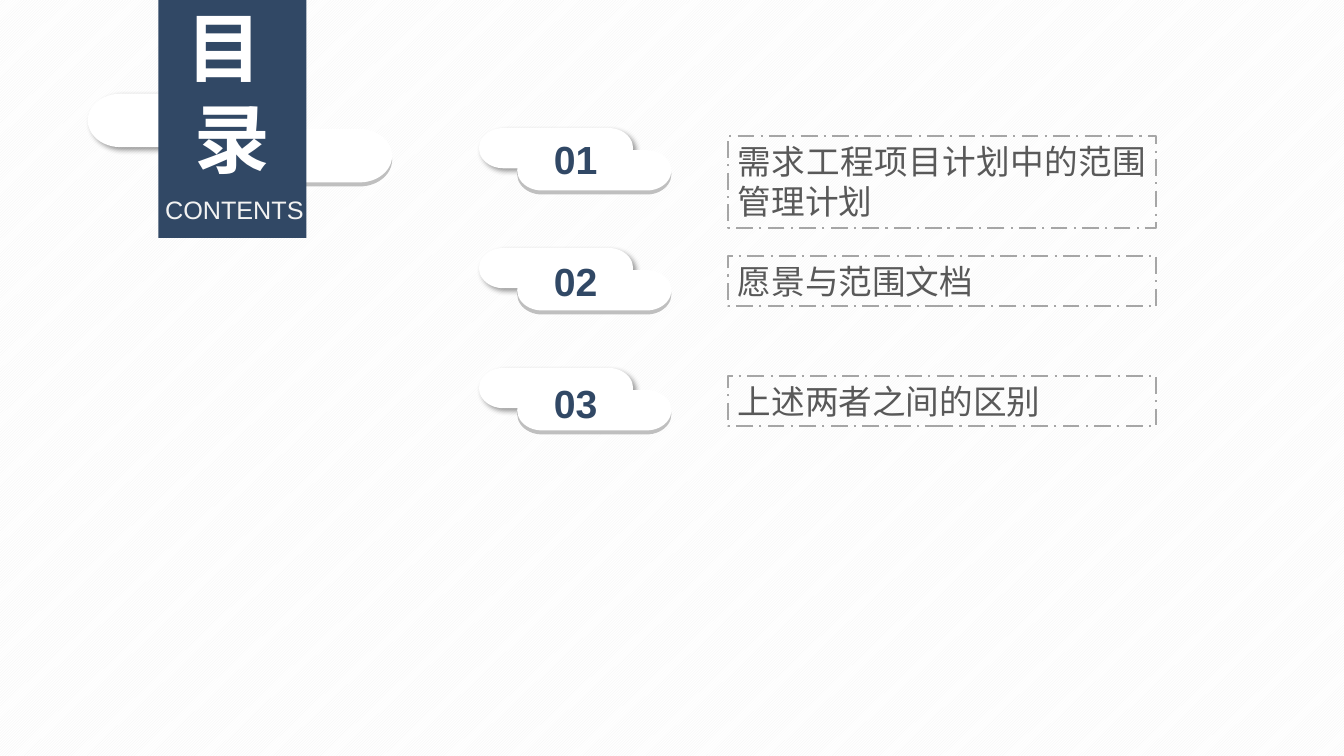
from lxml import etree
from pptx import Presentation
from pptx.dml.color import RGBColor
from pptx.enum import dml, shapes, text
from pptx.oxml.ns import qn
from pptx.util import Inches, Pt

NAVY, WHITE, SILVER = "314865", "FFFFFF", "BFBFBF"
PITCH = 1.19
NUMBER_PITCH = 1.21
TOPICS = [
    ("需求工程项目计划中的范围管理计划", 0.91),
    ("愿景与范围文档", 0.5),
    ("上述两者之间的区别", 0.5),
]


def color(value):
    """Turn a hex string into a colour."""
    return RGBColor.from_string(value)


def set_format(target, values):
    """Set attributes of an object from a dict."""
    for name, value in values.items():
        setattr(target, name, value)


def add_shadow(shape):
    """Give a shape a soft shadow towards the lower right."""
    effects = shape._element.spPr.find(qn("a:effectLst"))
    shadow = etree.SubElement(effects, qn("a:outerShdw"), blurRad=str(Pt(4)),
                              dist=str(Pt(3)), dir="2700000", algn="tl", rotWithShape="0")
    black = etree.SubElement(shadow, qn("a:srgbClr"), val="000000")
    etree.SubElement(black, qn("a:alpha"), val="40000")


def add_block(parent, kind, box, fill=None):
    """Add a preset shape without outline, filled if a colour is given."""
    shape = parent.shapes.add_shape(kind, *map(Inches, box))
    shape.shadow.inherit = False
    shape.line.fill.background()
    if fill:
        shape.fill.solid()
        shape.fill.fore_color.rgb = color(fill)
    else:
        shape.fill.background()
    return shape


def write_text(shape, lines, size, ink, bold=False, align=text.PP_ALIGN.CENTER,
               anchor=text.MSO_ANCHOR.TOP, inset=None):
    """Write formatted paragraphs into a shape."""
    frame = shape.text_frame
    set_format(frame, {"text": "\n".join(lines), "word_wrap": True,
                       "auto_size": text.MSO_AUTO_SIZE.NONE, "vertical_anchor": anchor})
    if inset is not None:
        sides = ("left", "top", "right", "bottom")
        set_format(frame, {f"margin_{side}": Inches(inset) for side in sides})
    for paragraph in frame.paragraphs:
        paragraph.alignment = align
        for run in paragraph.runs:
            set_format(run.font, {"name": "Arial", "size": Pt(size), "bold": bold})
            run.font.color.rgb = color(ink)


def add_cloud(slide, left, top, width, height, shift, drop):
    """Add a grouped cloud of two white pills with a grey lower edge."""
    cloud = slide.shapes.add_group_shape()
    pill = shapes.MSO_SHAPE.FLOWCHART_TERMINATOR
    add_block(cloud, pill, (left + shift, top + drop + 0.04, width, height), SILVER)
    add_shadow(add_block(cloud, pill, (left, top, width, height), WHITE))
    add_block(cloud, pill, (left + shift, top + drop, width, height), WHITE)
    return cloud


def add_banner(slide):
    """Add the navy banner with the slide title and its subtitle."""
    add_cloud(slide, 0.87, 0.93, 2.01, 0.53, 1.01, 0.35)
    banner = add_block(slide, shapes.MSO_SHAPE.RECTANGLE, (1.57, 0, 1.47, 2.36), NAVY)
    title = slide.shapes.title
    set_format(title, {"left": Inches(1.57), "top": Inches(0),
                       "width": Inches(1.47), "height": Inches(1.82)})
    banner._element.addnext(title._element)
    middle = text.MSO_ANCHOR.MIDDLE
    write_text(title, ["目 ", "录"], 54, WHITE, bold=True, anchor=middle, inset=0)
    subtitle = slide.shapes.add_textbox(*map(Inches, (1.59, 1.93, 1.47, 0.3)))
    write_text(subtitle, ["CONTENTS"], 18, "F2F2F2", anchor=middle, inset=0)


def add_topic(slide, index, topic, height):
    """Add one contents row: a numbered cloud and a dashed topic box."""
    offset = index * PITCH
    box = add_block(slide, shapes.MSO_SHAPE.RECTANGLE, (7.22, 1.35 + offset, 4.25, height))
    set_format(box.line, {"width": Pt(1.5), "dash_style": dml.MSO_LINE.LONG_DASH_DOT})
    box.line.color.rgb = color("A6A6A6")
    write_text(box, [topic], 24, "595959", align=text.PP_ALIGN.JUSTIFY)
    cloud = add_cloud(slide, 4.75, 1.27 + offset, 1.53, 0.4, 0.38, 0.22)
    number_box = (5.33, 1.29 + index * NUMBER_PITCH, 0.76, 0.57)
    number = cloud.shapes.add_textbox(*map(Inches, number_box))
    write_text(number, [f"{index + 1:02}"], 28, NAVY, bold=True)


def main():
    """Build the contents slide."""
    presentation = Presentation()
    set_format(presentation, {"slide_width": Inches(13.33), "slide_height": Inches(7.5)})
    slide = presentation.slides.add_slide(presentation.slide_layouts[5])
    backdrop = slide.background.fill
    backdrop.patterned()
    backdrop.pattern = dml.MSO_PATTERN.LIGHT_UPWARD_DIAGONAL
    backdrop.fore_color.rgb = color("F2F2F2")
    backdrop.back_color.rgb = color(WHITE)
    add_banner(slide)
    for index, (topic, height) in enumerate(TOPICS):
        add_topic(slide, index, topic, height)
    presentation.save("out.pptx")


if __name__ == "__main__":
    main()
